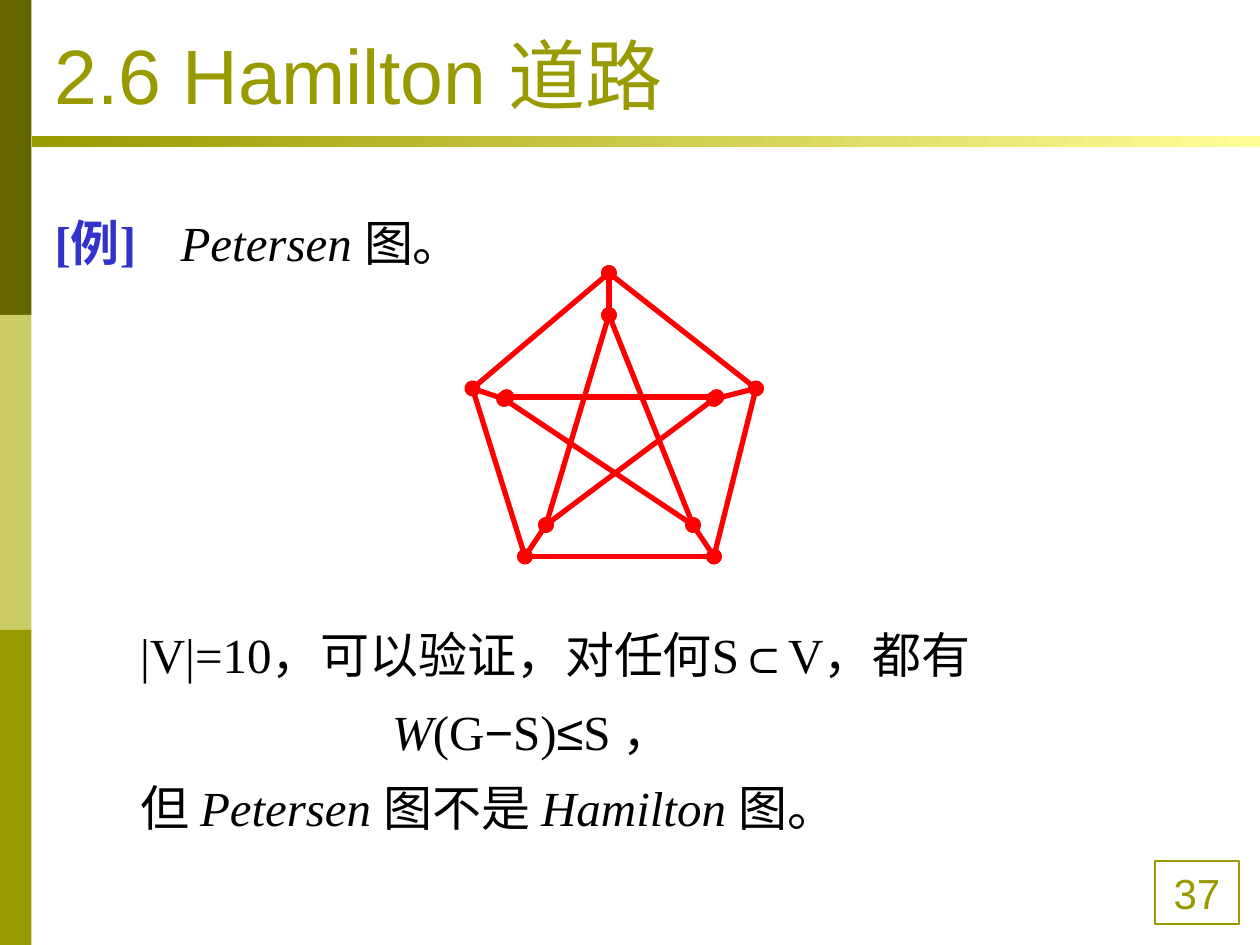
from dataclasses import dataclass

from lxml.etree import SubElement
from pptx import Presentation
from pptx.dml.color import RGBColor
from pptx.enum.shapes import MSO_CONNECTOR, MSO_SHAPE
from pptx.enum.text import MSO_ANCHOR, MSO_AUTO_SIZE, PP_ALIGN
from pptx.oxml.ns import qn
from pptx.util import Pt


@dataclass(frozen=True)
class Theme:
    olive: str = "999900"
    dark_olive: str = "666600"
    light_olive: str = "CCCC66"
    pale_yellow: str = "FFFF99"
    blue: str = "3333CC"
    red: str = "FF0000"
    black: str = "000000"
    sans: str = "Arial"
    serif: str = "Times New Roman"
    title_size: int = 44
    body_size: int = 28
    number_size: int = 24


THEME = Theme()

# Content: each run is (text, style)
TITLE = "2.6 Hamilton 道路"
PAGE_NUMBER = "37"
EXAMPLE = [("[例]", "label"), ("\t", ""), ("Petersen ", "italic"), ("图。", "")]
EXAMPLE_TAB = 80
# Each statement is (left indent, runs)
STATEMENTS = [
    (48, [("|V|=10，可以验证，对任何S", ""), ("⊂", "symbol"), ("V，都有", "")]),
    (192, [("W", "italic"), ("(G", ""), ("−", "symbol"), ("S)", ""),
           ("≤", "symbol"), ("S ，", "")]),
    (48, [("但 ", ""), ("Petersen ", "italic"), ("图不是 ", ""),
          ("Hamilton ", "italic"), ("图。", "")]),
]

# Petersen graph: vertices clockwise from the top
OUTER = [(348, 156), (432, 222), (408, 318), (300, 318), (270, 222)]
INNER = [(348, 180), (408, 228), (396, 300), (312, 300), (288, 228)]
# The horizontal chord of the star sits slightly off its vertices
CHORD = ((289.5, 226.8), (409.5, 226.8))

SIDE_BANDS = [THEME.dark_olive, THEME.light_olive, THEME.olive]
SLIDE_WIDTH, SLIDE_HEIGHT, BAND_WIDTH = 720, 540, 18


def rgb(value):
    return RGBColor.from_string(value)


def style_font(font, name, size, color):
    font.name, font.size, font.color.rgb = name, Pt(size), rgb(color)


def add_rectangle(slide, *box):
    rectangle = slide.shapes.add_shape(MSO_SHAPE.RECTANGLE, *map(Pt, box))
    rectangle.shadow.inherit = False
    rectangle.line.fill.background()
    return rectangle


def place(placeholder, *box):
    placeholder.left, placeholder.top, placeholder.width, placeholder.height = map(Pt, box)
    placeholder.text_frame.auto_size = MSO_AUTO_SIZE.NONE


def write_runs(paragraph, runs):
    paragraph.line_spacing = 1.3
    paragraph.space_before = Pt(0)
    style_font(paragraph.font, THEME.serif, THEME.body_size, THEME.black)
    for text, style in runs:
        run = paragraph.add_run()
        run.text = text
        if style == "italic":
            run.font.italic = True
        elif style == "symbol":
            run.font.name = THEME.sans
        elif style == "label":
            run.font.bold = True
            run.font.color.rgb = rgb(THEME.blue)


def add_edge(graph, start, end):
    edge = graph.shapes.add_connector(MSO_CONNECTOR.STRAIGHT, *map(Pt, start + end))
    edge.line.color.rgb = rgb(THEME.red)
    edge.line.width = Pt(3)
    line = edge.line._get_or_add_ln()
    for tag in ("a:headEnd", "a:tailEnd"):
        SubElement(line, qn(tag), type="oval")
    SubElement(edge._element.spPr, qn("a:effectLst"))


def add_frame(slide):
    # Coloured bands down the left side
    band_height = SLIDE_HEIGHT / len(SIDE_BANDS)
    for index, color in enumerate(SIDE_BANDS):
        band = add_rectangle(slide, 0, index * band_height, BAND_WIDTH, band_height)
        band.fill.solid()
        band.fill.fore_color.rgb = rgb(color)

    # Page number
    number = add_rectangle(slide, 660, 492, 48, 36)
    number.fill.background()
    number.line.color.rgb = rgb(THEME.olive)
    number.line.width = Pt(0.75)
    number.text_frame.vertical_anchor = MSO_ANCHOR.MIDDLE
    paragraph = number.text_frame.paragraphs[0]
    paragraph.alignment = PP_ALIGN.CENTER
    style_font(paragraph.font, THEME.sans, THEME.number_size, THEME.olive)
    paragraph.add_run().text = PAGE_NUMBER

    # Fading rule under the title
    rule = add_rectangle(slide, BAND_WIDTH, 78, SLIDE_WIDTH - BAND_WIDTH, 6)
    rule.fill.gradient()
    rule.fill.gradient_angle = 0
    for stop, color in zip(rule.fill.gradient_stops, (THEME.olive, THEME.pale_yellow)):
        stop.color.rgb = rgb(color)


def add_title(title):
    place(title, 24, 18, 396, 54)
    title.text_frame.vertical_anchor = MSO_ANCHOR.BOTTOM
    paragraph = title.text_frame.paragraphs[0]
    paragraph.alignment = PP_ALIGN.LEFT
    style_font(paragraph.font, THEME.sans, THEME.title_size, THEME.olive)
    paragraph.add_run().text = TITLE


def add_example(body):
    place(body, 24, 108, 270, 60)
    paragraph = body.text_frame.paragraphs[0]
    properties = paragraph._p.get_or_add_pPr()
    properties.set("marL", "0")
    properties.set("indent", "0")
    SubElement(properties, qn("a:buNone"))
    tabs = SubElement(properties, qn("a:tabLst"))
    SubElement(tabs, qn("a:tab"), pos=str(Pt(EXAMPLE_TAB)), algn="l")
    paragraph.space_after = Pt(10.5)
    write_runs(paragraph, EXAMPLE)


def add_graph(slide):
    graph = slide.shapes.add_group_shape()
    count = len(OUTER)
    for i in range(count):
        add_edge(graph, OUTER[i], OUTER[(i + 1) % count])
        add_edge(graph, OUTER[i], INNER[i])
        star_end = (i + 2) % count
        chord = CHORD if {i, star_end} == {1, 4} else (INNER[i], INNER[star_end])
        add_edge(graph, *chord)


def add_statements(slide):
    frame = slide.shapes.add_textbox(*map(Pt, (25, 343.5, 675, 137.5))).text_frame
    frame.word_wrap = True
    for index, (indent, runs) in enumerate(STATEMENTS):
        paragraph = frame.add_paragraph() if index else frame.paragraphs[0]
        paragraph._p.get_or_add_pPr().set("marL", str(Pt(indent)))
        write_runs(paragraph, runs)


def main():
    presentation = Presentation()
    presentation.slide_width, presentation.slide_height = Pt(SLIDE_WIDTH), Pt(SLIDE_HEIGHT)
    slide = presentation.slides.add_slide(presentation.slide_layouts[1])
    add_frame(slide)
    add_title(slide.shapes.title)
    add_example(slide.placeholders[1])
    add_graph(slide)
    add_statements(slide)
    presentation.save("out.pptx")


if __name__ == "__main__":
    main()
